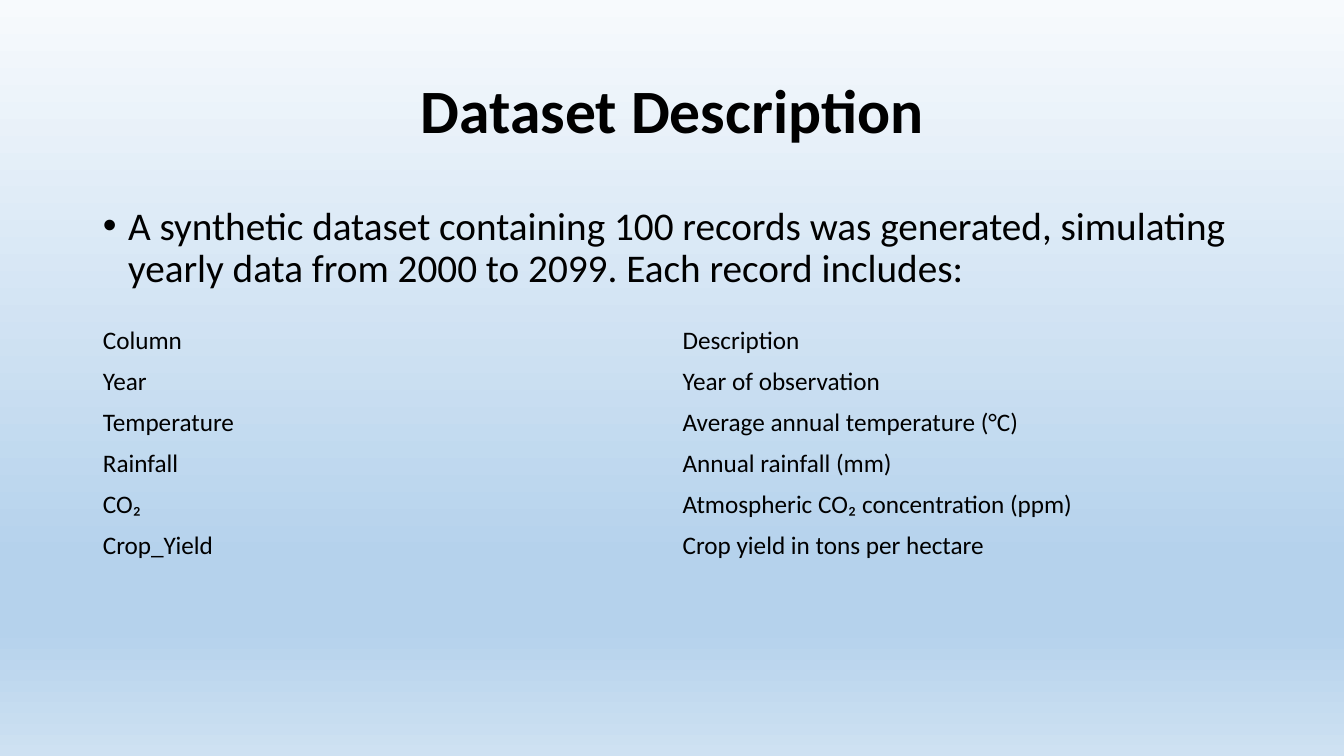
import pptx
import pptx.dml.color
import pptx.enum.text
import pptx.oxml
import pptx.oxml.ns
import pptx.util
from lxml import etree

Inches = pptx.util.Inches
qn = pptx.oxml.ns.qn

TITLE = "Dataset Description"
INTRO = ("A synthetic dataset containing 100 records was generated, "
         "simulating yearly data from 2000 to 2099. Each record includes:")
COLUMNS = [
    ("Column", "Description"),
    ("Year", "Year of observation"),
    ("Temperature", "Average annual temperature (°C)"),
    ("Rainfall", "Annual rainfall (mm)"),
    ("CO₂", "Atmospheric CO₂ concentration (ppm)"),
    ("Crop_Yield", "Crop yield in tons per hectare"),
]
SKY = [(0, "F7FAFD"), (74, "B5D2EC"), (83, "B5D2EC"), (100, "CEE1F2")]
LEFT, WIDTH = 0.92, 11.5
ROW_HEIGHT = 0.4
NO_STYLE = "{2D5ABB26-0587-4C30-8999-92F81FD0307C}"
MIDDLE = pptx.enum.text.MSO_ANCHOR.MIDDLE


def color(value):
    return pptx.dml.color.RGBColor.from_string(value)


def place(box, top, height):
    box.left, box.top = Inches(LEFT), Inches(top)
    box.width, box.height = Inches(WIDTH), Inches(height)


def write(frame, text, size, bold=False):
    """Set the text of a frame, format it and return its paragraph."""
    frame.text = text
    para = frame.paragraphs[0]
    font = para.runs[0].font
    font.name, font.size, font.bold = "Calibri", pptx.util.Pt(size), bold
    font.color.rgb = color("000000")
    return para


def paint_background(page):
    fill = page.background.fill
    fill.gradient()
    fill.gradient_angle = 270
    stops = page.element.find(".//" + qn("a:gsLst"))
    for stop in list(stops):
        stops.remove(stop)
    for percent, value in SKY:
        stop = etree.SubElement(stops, qn("a:gs"), pos=str(percent * 1000))
        etree.SubElement(stop, qn("a:srgbClr"), val=value)


def add_title(page):
    title = page.shapes.title
    place(title, 0.4, 1.45)
    title.text_frame.vertical_anchor = MIDDLE
    para = write(title.text_frame, TITLE, 44, bold=True)
    para.alignment = pptx.enum.text.PP_ALIGN.CENTER
    para.line_spacing = 0.9


def add_intro(page):
    body = page.placeholders[1]
    place(body, 2, 4.76)
    para = write(body.text_frame, INTRO, 28)
    para.line_spacing = 0.9
    para.space_before = pptx.util.Pt(10)
    properties = para._p.get_or_add_pPr()
    properties.set("marL", str(Inches(0.25)))
    properties.set("indent", str(Inches(-0.25)))
    etree.SubElement(properties, qn("a:buFont"), typeface="Arial")
    etree.SubElement(properties, qn("a:buChar"), char="•")


def add_column_table(page):
    frame = page.shapes.add_table(
        len(COLUMNS), len(COLUMNS[0]), Inches(LEFT), Inches(3.18),
        Inches(WIDTH), Inches(ROW_HEIGHT * len(COLUMNS)))
    table = frame.table
    table.first_row = table.horz_banding = False
    table._tbl.tblPr.find(qn("a:tableStyleId")).text = NO_STYLE
    for row, texts in enumerate(COLUMNS):
        for column, text in enumerate(texts):
            cell = table.cell(row, column)
            cell.fill.background()
            cell.vertical_anchor = MIDDLE
            write(cell.text_frame, text, 18)


def main():
    deck = pptx.Presentation()
    deck.slide_width, deck.slide_height = Inches(13.33), Inches(7.5)
    page = deck.slides.add_slide(deck.slide_layouts[1])
    paint_background(page)
    add_title(page)
    add_intro(page)
    add_column_table(page)
    deck.save("out.pptx")


if __name__ == "__main__":
    main()
